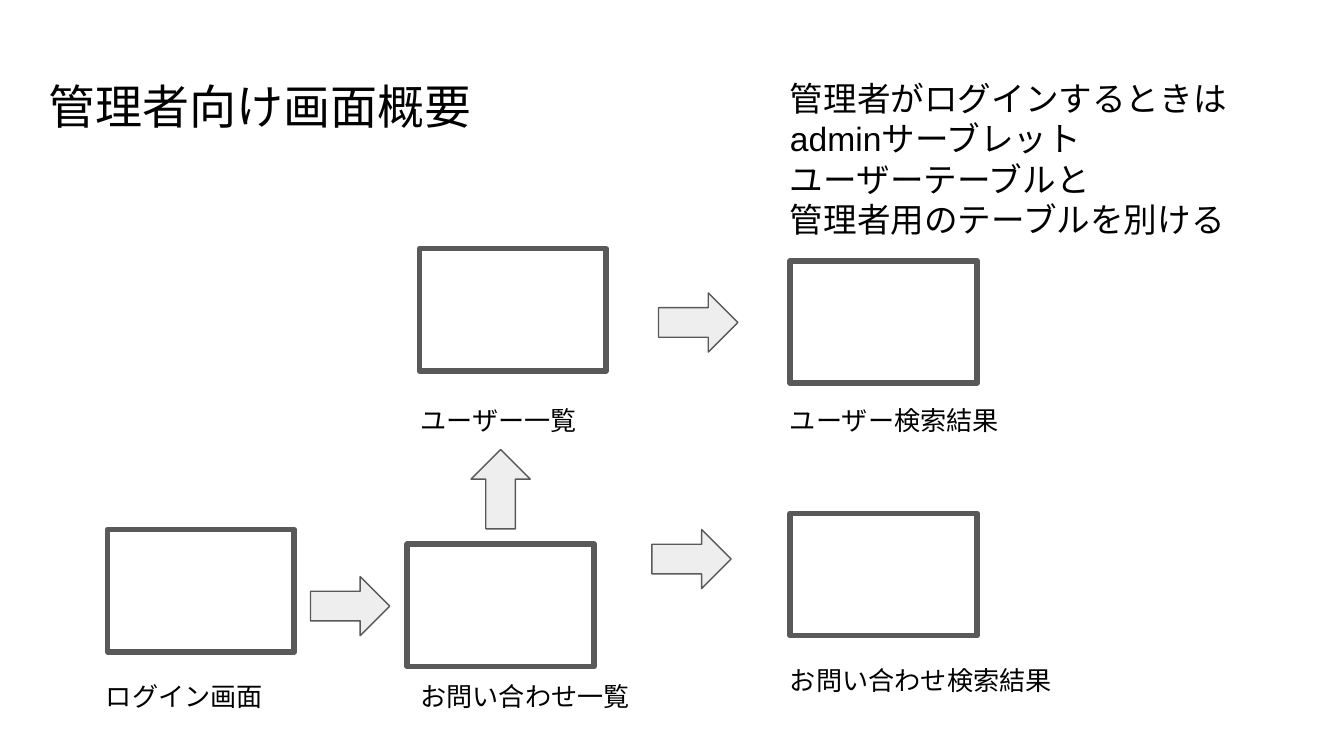
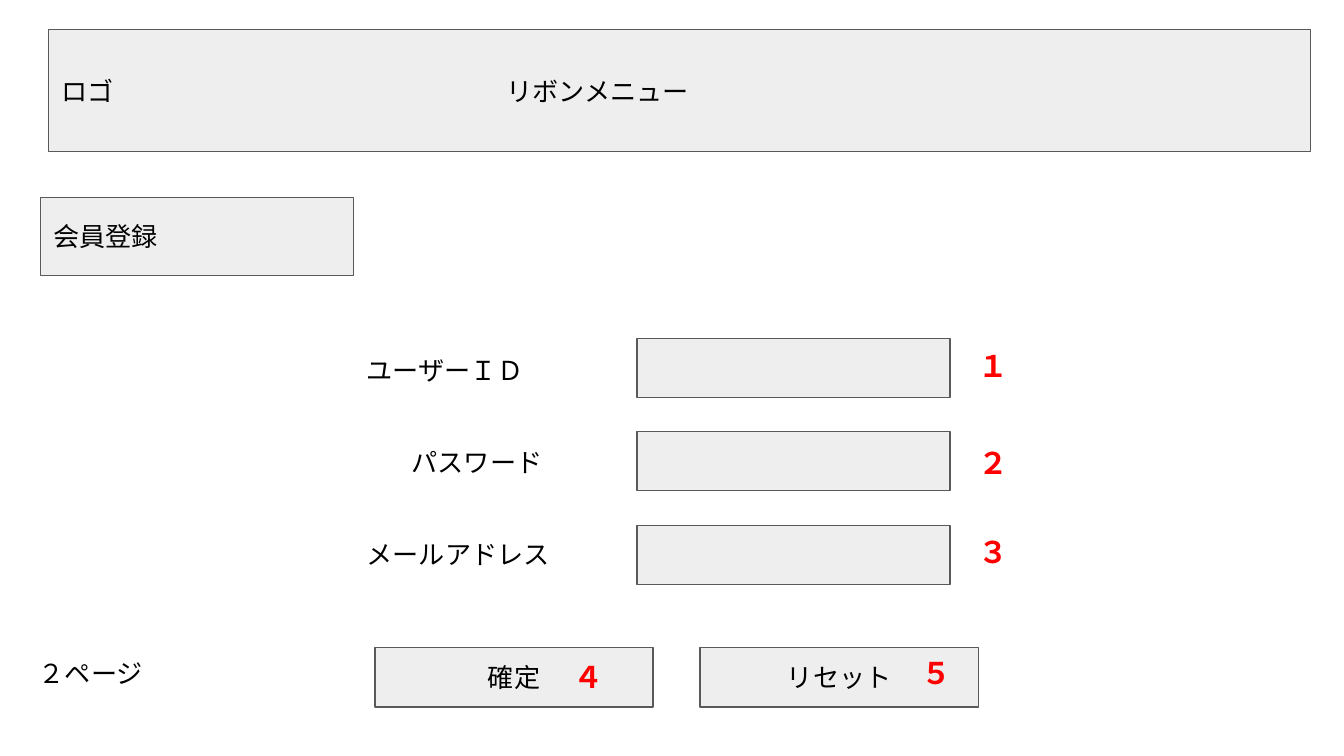
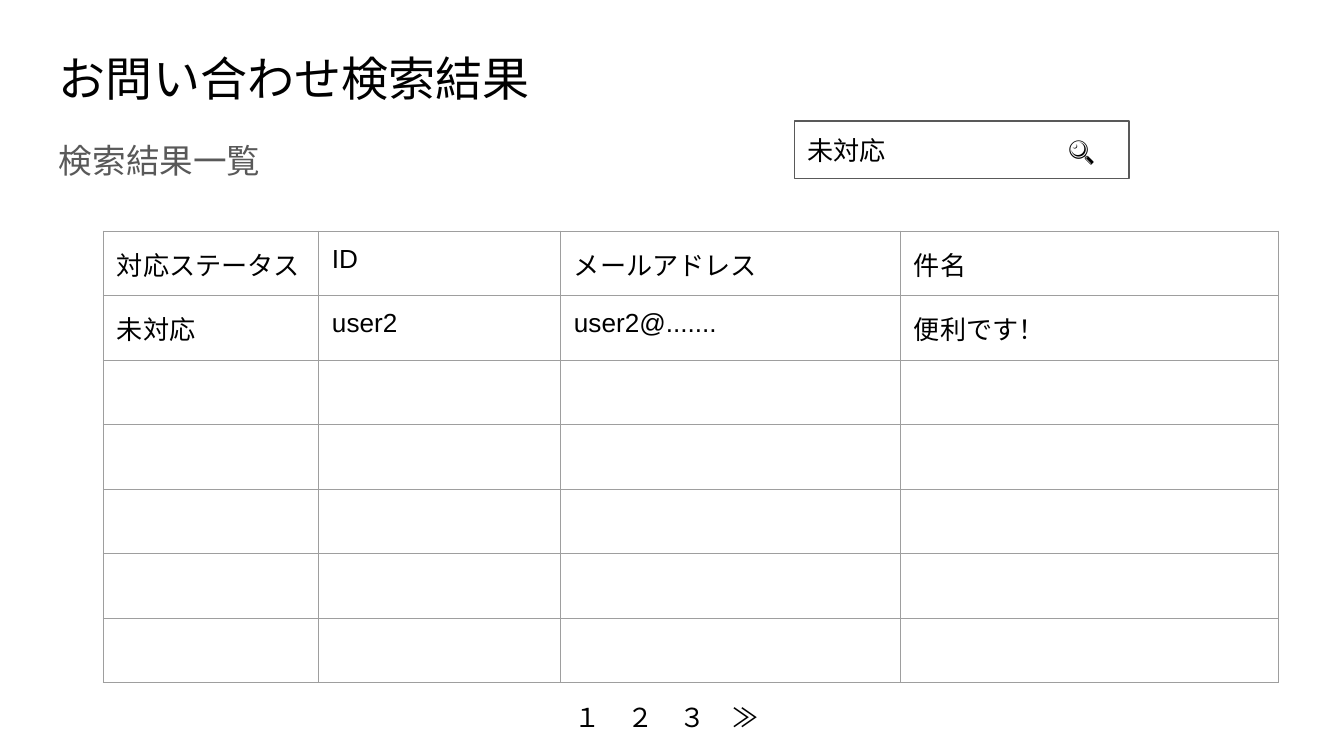
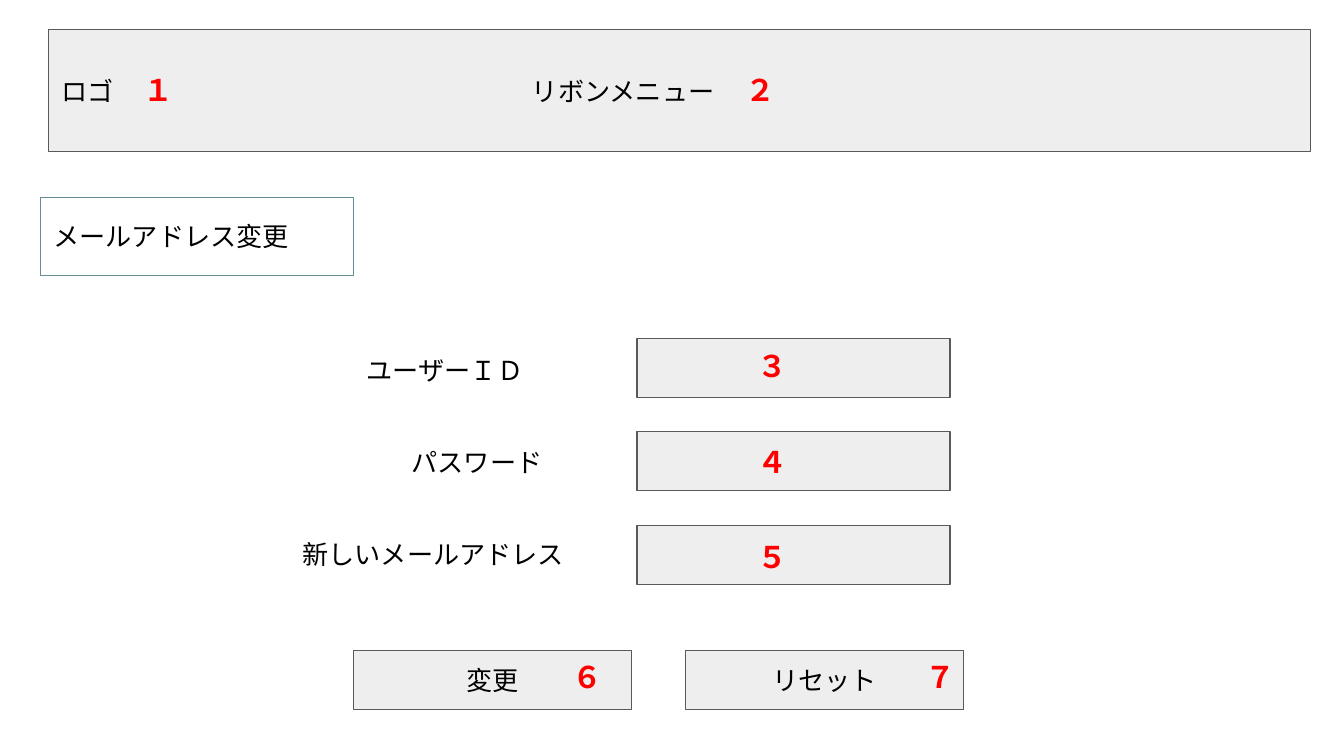
from dataclasses import dataclass
from lxml import etree
from pptx import Presentation
from pptx.dml.color import RGBColor
from pptx.enum import shapes, text
from pptx.oxml import ns
from pptx.util import Inches, Pt


# Theme: colours, type and line sizes
@dataclass(frozen=True)
class Theme:
    font: str = "Arial"
    ink: str = "000000"
    edge: str = "595959"
    pale: str = "EEEEEE"
    white: str = "FFFFFF"
    teal: str = "668C95"
    grid: str = "9E9E9E"
    red: str = "FF0000"
    title: float = 25.2
    lead: float = 18
    mark: float = 16
    body: float = 14
    thin: float = 0.75
    thick: float = 3


T = Theme()
CENTER = text.PP_ALIGN.CENTER


# Text helpers
def add_run(para, words, size=T.body, color=T.ink, bold=None, east=True):
    run = para.add_run()
    run.text = words
    font = run.font
    font.size = Pt(size)
    font.bold = bold
    font.color.rgb = RGBColor.from_string(color)
    font.name = T.font
    if east:
        etree.SubElement(font._element, ns.qn("a:ea"), typeface=T.font)


def add_tab(para, pos):
    stops = etree.SubElement(para._p.get_or_add_pPr(), ns.qn("a:tabLst"))
    etree.SubElement(stops, ns.qn("a:tab"), pos=str(Inches(pos)), algn="l")


def set_frame(frame, anchor):
    frame.word_wrap = True
    frame.vertical_anchor = anchor
    frame.margin_left = frame.margin_right = Inches(0.1)
    frame.margin_top = frame.margin_bottom = Inches(0.1)


def add_text(slide, words, x, y, w, h=0.44, align=None, **style):
    box = slide.shapes.add_textbox(Inches(x), Inches(y), Inches(w), Inches(h))
    frame = box.text_frame
    set_frame(frame, text.MSO_ANCHOR.TOP)
    for i, line in enumerate(words.split("\n")):
        para = frame.add_paragraph() if i else frame.paragraphs[0]
        para.alignment = align
        add_run(para, line, **style)
    return frame


def add_title(slide, words, x, y):
    add_text(slide, words, x, y, 9.32, 0.63, size=T.title)


def add_mark(slide, digit, x, y, w):
    add_text(slide, digit, x, y, w, 0.47,
             size=T.mark, color=T.red, bold=True)


# Shape helpers
def add_shape(slide, kind, x, y, w, h, fill=T.pale, edge=T.edge, width=T.thin):
    shape = slide.shapes.add_shape(
        kind, Inches(x), Inches(y), Inches(w), Inches(h))
    shape.shadow.inherit = False
    shape.fill.solid()
    shape.fill.fore_color.rgb = RGBColor.from_string(fill)
    shape.line.color.rgb = RGBColor.from_string(edge)
    shape.line.width = Pt(width)
    return shape


def add_box(slide, x, y, w, h, words="", align=text.PP_ALIGN.LEFT,
            tab=None, **style):
    box = add_shape(slide, shapes.MSO_SHAPE.RECTANGLE, x, y, w, h, **style)
    if words:
        set_frame(box.text_frame, text.MSO_ANCHOR.MIDDLE)
        para = box.text_frame.paragraphs[0]
        para.alignment = align
        if tab:
            add_tab(para, tab)
        add_run(para, words)


def add_arrow(slide, x, y, turn=0):
    arrow = add_shape(slide, shapes.MSO_SHAPE.RIGHT_ARROW, x, y, 0.59, 0.44)
    arrow.rotation = turn


# Table helpers
def set_cell(cell, words):
    cell.fill.background()
    cell.margin_left = cell.margin_right = Inches(0.1)
    cell.margin_top = cell.margin_bottom = Inches(0.1)
    props = cell._tc.get_or_add_tcPr()
    for i, side in enumerate(("lnL", "lnR", "lnT", "lnB")):
        line = etree.Element(ns.qn("a:" + side), w=str(Pt(T.thin)))
        fill = etree.SubElement(line, ns.qn("a:solidFill"))
        etree.SubElement(fill, ns.qn("a:srgbClr"), val=T.grid)
        props.insert(i, line)
    para = cell.text_frame.paragraphs[0]
    if words:
        add_run(para, words, east=False)
    else:
        etree.SubElement(para._p, ns.qn("a:endParaRPr"), sz=str(T.body * 100))


def add_grid(slide, x, y, cols, height, count, data):
    frame = slide.shapes.add_table(
        count, len(cols), Inches(x), Inches(y),
        Inches(sum(cols)), Inches(height * count))
    table = frame.table
    table.first_row = table.horz_banding = False
    for col, width in zip(table.columns, cols):
        col.width = Inches(width)
    for r, row in enumerate(table.rows):
        row.height = Inches(height)
        for c, cell in enumerate(row.cells):
            set_cell(cell, data[r][c] if r < len(data) else "")


# Form page: ribbon, heading, three fields, two buttons, red marks
def add_form(slide, tab, head, style, last, keys, key_top, wide, marks):
    add_box(slide, 0.36, 0.22, 9.39, 0.91, "ロゴ\tリボンメニュー", tab=tab)
    add_box(slide, 0.3, 1.47, 2.33, 0.58, head, **style)
    for y in (2.52, 3.21, 3.91):
        add_box(slide, 4.74, y, 2.33, 0.44)
    add_text(slide, "ユーザーＩＤ", 2.63, 2.54, 1.84)
    add_text(slide, "パスワード", 2.63, 3.22, 1.84, align=CENTER)
    words, x, w, align = last
    add_text(slide, words, x, 3.91, w, align=align)
    for name, left in keys:
        add_box(slide, left, key_top, 2.07, 0.44, name, CENTER)
    for digit, left, top in marks:
        add_mark(slide, digit, left, top, wide)


# Slides
def draw_flow(slide):
    add_title(slide, "管理者向け画面概要", 0.26, 0.48)
    add_text(slide, "管理者がログインするときは\nadminサーブレット\n"
             "ユーザーテーブルと\n管理者用のテーブルを別ける",
             5.78, 0.48, 3.63, 1.41, size=T.lead)
    for x, y in ((0.8, 3.94), (3.03, 4.05), (3.12, 1.85),
                 (5.88, 1.94), (5.88, 3.82)):
        add_box(slide, x, y, 1.39, 0.91, fill=T.white, width=T.thick)
    for name, x, y, w in (("ログイン画面", 0.69, 4.96, 1.6),
                          ("お問い合わせ一覧", 3.03, 4.96, 1.87),
                          ("ユーザー一覧", 3.03, 2.91, 2.27),
                          ("ユーザー検索結果", 5.78, 2.91, 1.97),
                          ("お問い合わせ検索結果", 5.78, 4.84, 2.27)):
        add_text(slide, name, x, y, w)
    for x, y, turn in ((2.31, 4.29, 0), (3.43, 3.42, 270),
                       (4.9, 2.18, 0), (4.85, 3.94, 0)):
        add_arrow(slide, x, y, turn)


def draw_signup(slide):
    add_form(slide, 3.31, "会員登録", {},
             ("メールアドレス", 2.63, 1.84, None),
             (("確定", 2.79), ("リセット", 5.21)), 4.82, 0.43,
             (("１", 7.18, 2.49), ("２", 7.18, 3.21), ("３", 7.18, 3.87),
              ("４", 4.17, 4.8), ("５", 6.76, 4.77)))
    add_text(slide, "２ページ", 0.19, 4.79, 1.62)


def draw_results(slide):
    add_title(slide, "お問い合わせ検索結果", 0.34, 0.27)
    lead = add_text(slide, "検索結果一覧", 0.34, 0.9, 9.32, 4.1,
                    size=T.lead, color=T.edge).paragraphs[0]
    lead.line_spacing = 1.15
    lead.space_after = Pt(12)
    add_grid(slide, 0.77, 1.72, (1.6, 1.8, 2.53, 2.81), 0.48, 7,
             (("対応ステータス", "ID", "メールアドレス", "件名"),
              ("未対応", "user2", "user2@.......", "便利です！")))
    add_text(slide, "１　２　３　≫", 4.18, 5.12, 1.94)
    add_box(slide, 5.91, 0.9, 2.49, 0.43, "未対応\t🔍", tab=1.94, fill=T.white)


def draw_change(slide):
    add_form(slide, 3.5, "メールアドレス変更",
             {"fill": T.white, "edge": T.teal},
             ("新しいメールアドレス", 1.98, 2.49, CENTER),
             (("変更", 2.63), ("リセット", 5.1)), 4.84, 0.49,
             (("１", 0.97, 0.43), ("２", 5.45, 0.43), ("３", 5.54, 2.49),
              ("４", 5.54, 3.2), ("５", 5.54, 3.91),
              ("６", 4.16, 4.8), ("７", 6.79, 4.8)))


def main():
    deck = Presentation()
    # Widescreen, 16 to 9
    deck.slide_width = Inches(10)
    deck.slide_height = Inches(10) * 9 // 16
    for draw in (draw_flow, draw_signup, draw_results, draw_change):
        draw(deck.slides.add_slide(deck.slide_layouts[6]))
    deck.save("out.pptx")


if __name__ == "__main__":
    main()
